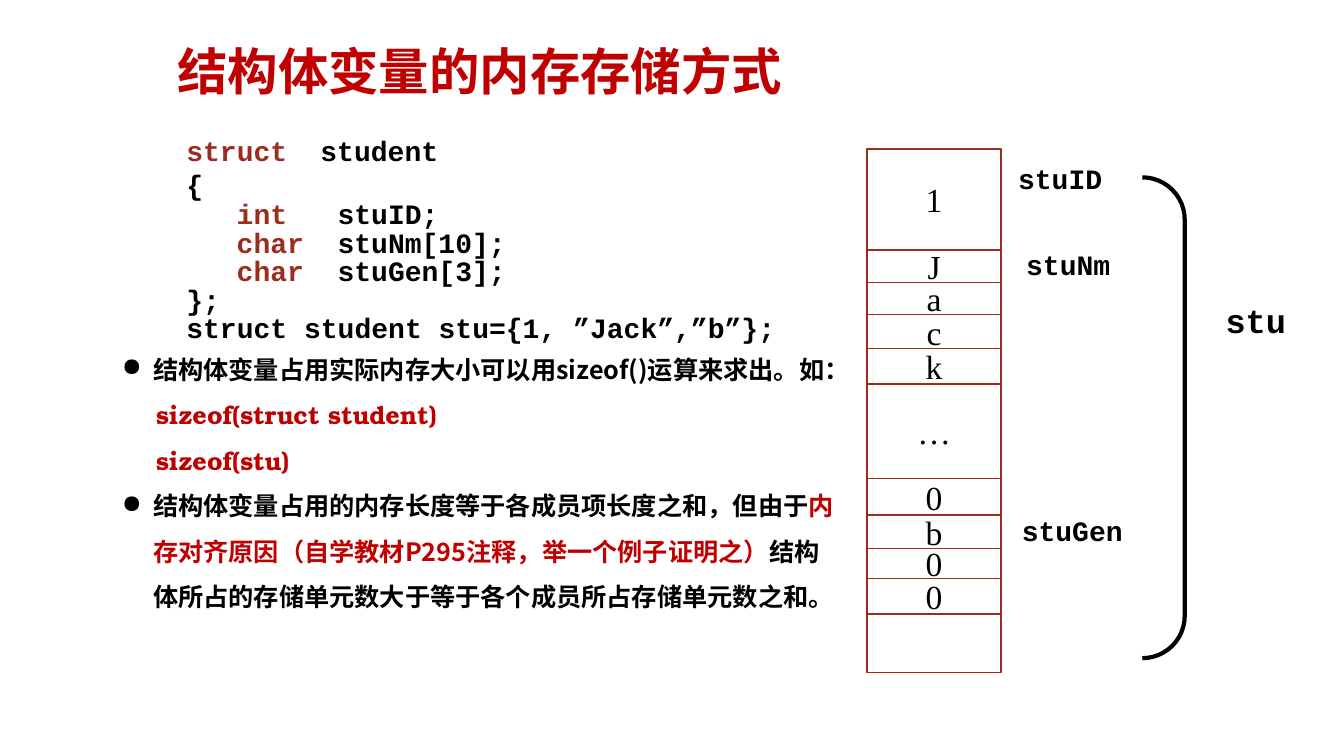
from dataclasses import dataclass
from itertools import pairwise

from lxml.etree import SubElement
from pptx import Presentation
from pptx.dml.color import RGBColor
from pptx.enum.shapes import MSO_SHAPE
from pptx.enum.text import MSO_ANCHOR, PP_ALIGN
from pptx.oxml.ns import qn
from pptx.util import Pt

PX = 9144  # EMU in one px, 100 px to the inch


@dataclass(frozen=True)
class Theme:
    black: str = "000000"
    white: str = "FFFFFF"
    red: str = "C00000"
    brick: str = "9B2D1F"
    code: str = "Courier New"
    serif: str = "Times New Roman"
    slab: str = "TeX Gyre Bonum"
    hans: str = "Noto Sans CJK SC"
    narrow: str = "Arial Narrow"
    title: int = 36
    big: int = 24
    mid: int = 20
    body: int = 18


T = Theme()

CODE = [  # line height, tab stops, coloured parts
    (24.5, [133], [("struct", T.brick), ("\tstudent", T.black)]),
    (24.5, [], [("{", T.black)]),
    (20.4, [50, 150], [("\tint", T.brick), ("\tstuID;", T.black)]),
    (20.4, [50, 150], [("\tchar", T.brick), ("\tstuNm[10];", T.black)]),
    (20.4, [50, 150], [("\tchar", T.brick), ("\tstuGen[3];", T.black)]),
    (20.4, [], [("};", T.black)]),
    (20.4, [], [("struct student stu={1, ”Jack”,”b”};", T.black)]),
]
NOTES = [  # bulleted, coloured parts
    (True, [("结构体变量占用实际内存大小可以用sizeof()运算来求出。如：", T.black)]),
    (False, [("sizeof(struct student)", T.red)]),
    (False, [("sizeof(stu)", T.red)]),
    (True, [("结构体变量占用的内存长度等于各成员项长度之和，但由于", T.black),
            ("内存对齐原因（自学教材P295注释，举一个例子证明之）", T.red),
            ("结构体所占的存储单元数大于等于各个成员所占存储单元数之和。", T.black)]),
]
CELLS = ["1", "J", "a", "c", "k", "…", "0", "b", "0", "0", ""]
EDGES = [148, 248, 280, 312, 346, 381, 475, 511, 544, 574, 609, 667]
LABELS = [  # text, left, top, width, height, size
    ("stuID", 986, 154, 131, 44, T.mid),
    ("stuNm", 994, 239, 131, 44, T.mid),
    ("stuGen", 998, 503, 131, 44, T.mid),
    ("stu", 1205, 291, 81, 50, T.big),
]


def color(tone):
    return RGBColor.from_string(tone)


def style(run, face, size, tone, bold=True):
    font = run.font
    font.name, font.size, font.bold = face, Pt(size), bold
    font.color.rgb = color(tone)
    east = T.hans if face == T.narrow else face
    SubElement(run._r.get_or_add_rPr(), qn("a:ea"), typeface=east)


def fill_line(para, parts, face, size, height):
    """Add coloured runs to a paragraph with a fixed line height."""
    para.line_spacing = Pt(height)
    for text, tone in parts:
        run = para.add_run()
        run.text = text
        style(run, face, size, tone)


def add_box(slide, left, top, width, height, wrap=True):
    box = slide.shapes.add_textbox(left * PX, top * PX, width * PX, height * PX)
    box.text_frame.word_wrap = wrap
    return box.text_frame


def lines(frame, count):
    """Yield the paragraphs of a frame, adding those it lacks."""
    yield frame.paragraphs[0]
    for _ in range(count - 1):
        yield frame.add_paragraph()


def set_tabs(para, stops):
    if stops:
        tabs = SubElement(para._p.get_or_add_pPr(), qn("a:tabLst"))
        for stop in stops:
            SubElement(tabs, qn("a:tab"), pos=str(stop * PX), algn="l")


def set_dent(para, bullet):
    props = para._p.get_or_add_pPr()
    props.set("marL", str((31 if bullet else 34) * PX))
    props.set("indent", str(-31 * PX if bullet else 0))
    if bullet:
        SubElement(props, qn("a:buChar"), char="●")


def add_title(slide):
    frame = add_box(slide, 166, 37, 934, 72)
    frame.vertical_anchor = MSO_ANCHOR.MIDDLE
    parts = [("结构体变量的内存存储方式", T.red)]
    fill_line(frame.paragraphs[0], parts, T.narrow, T.title, 39)


def add_code(slide):
    frame = add_box(slide, 175, 127, 626, 222, wrap=False)
    for para, (height, stops, parts) in zip(lines(frame, len(CODE)), CODE):
        fill_line(para, parts, T.code, T.mid, height)
        set_tabs(para, stops)


def add_notes(slide):
    frame = add_box(slide, 111, 331, 729, 277)
    for para, (bullet, parts) in zip(lines(frame, len(NOTES)), NOTES):
        fill_line(para, parts, T.hans if bullet else T.slab, T.body, 32.5)
        set_dent(para, bullet)


def add_cell(slide, text, top, end):
    cell = slide.shapes.add_shape(
        MSO_SHAPE.RECTANGLE, 860 * PX, top * PX, 133 * PX, (end - top) * PX)
    cell.shadow.inherit = False
    cell.fill.solid()
    cell.fill.fore_color.rgb = color(T.white)
    cell.line.color.rgb = color(T.brick)
    cell.line.width = Pt(1)
    frame = cell.text_frame
    frame.word_wrap = False
    frame.margin_top = frame.margin_bottom = 0
    frame.vertical_anchor = MSO_ANCHOR.MIDDLE
    frame.text = text
    para = frame.paragraphs[0]
    para.alignment = PP_ALIGN.CENTER
    for run in para.runs:
        style(run, T.serif, T.big, T.black, bold=False)


def add_label(slide, text, left, top, width, height, size):
    para = add_box(slide, left, top, width, height).paragraphs[0]
    para.alignment = PP_ALIGN.CENTER
    fill_line(para, [(text, T.black)], T.code, size, size * 1.25)


def add_brace(slide):
    brace = slide.shapes.add_shape(
        MSO_SHAPE.RIGHT_BRACKET, 1133 * PX, 176 * PX, 42 * PX, 477 * PX)
    brace.adjustments[0] = 1
    brace.shadow.inherit = False
    brace.fill.background()
    brace.line.color.rgb = color(T.black)
    brace.line.width = Pt(3)


def main():
    deck = Presentation()
    deck.slide_width, deck.slide_height = 1333 * PX, 750 * PX
    slide = deck.slides.add_slide(deck.slide_layouts[6])
    add_title(slide)
    add_code(slide)
    for text, (top, end) in zip(CELLS, pairwise(EDGES)):
        add_cell(slide, text, top, end)
    add_brace(slide)
    for label in LABELS:
        add_label(slide, *label)
    add_notes(slide)
    deck.save("out.pptx")


if __name__ == "__main__":
    main()
